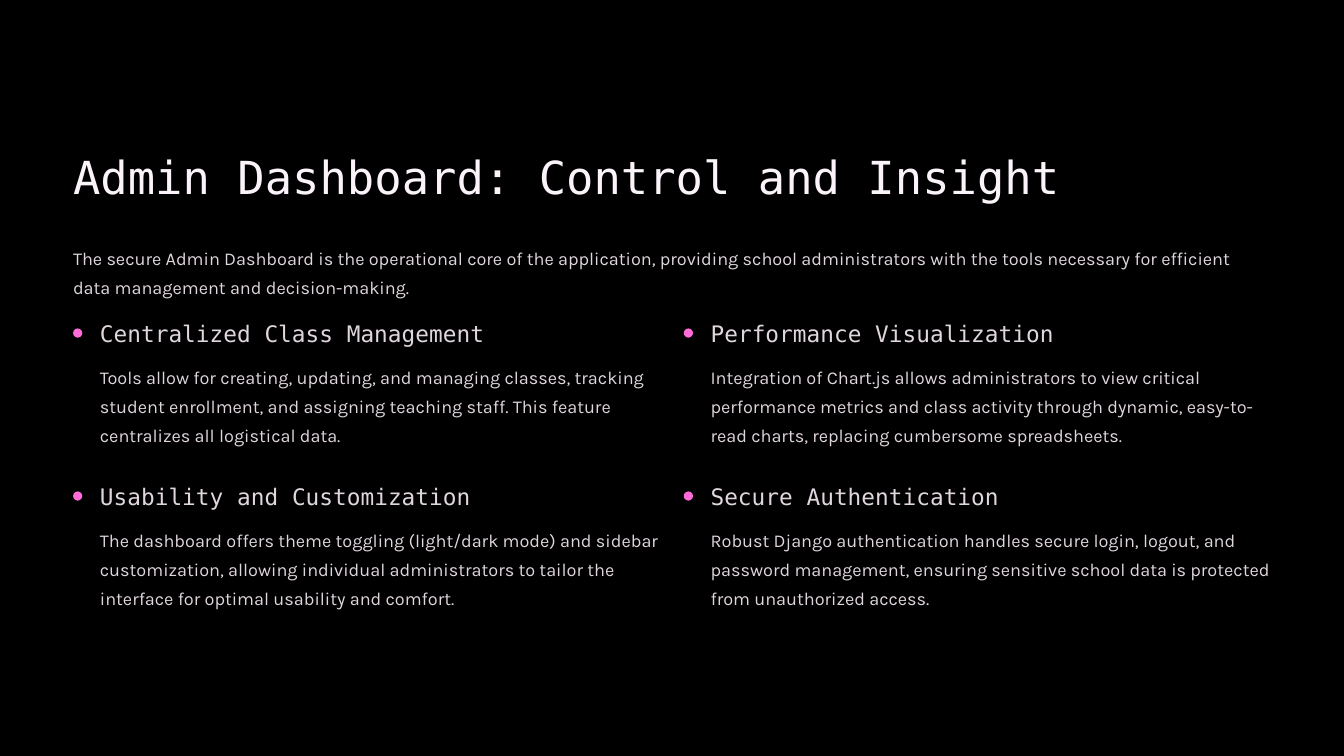
from pptx import Presentation
from pptx.dml.color import RGBColor
from pptx.enum.shapes import MSO_SHAPE
from pptx.enum.text import MSO_ANCHOR, PP_ALIGN
from pptx.util import Inches, Pt

BLACK = RGBColor(0x00, 0x00, 0x00)
WHITE = RGBColor(0xFB, 0xF3, 0xFA)
GREY = RGBColor(0xE0, 0xD6, 0xDE)
PINK = RGBColor(0xFF, 0x6B, 0xD8)

COLS, ROWS = 16, 9
LEFT = 0.87
INDENT = 0.32
STEP_X, STEP_Y = 7.27, 1.94
TOP = 3.8
CHAR = 0.17  # columns kept for one letter of a heading

TITLE = "Admin Dashboard: Control and Insight"
INTRO = (
    "The secure Admin Dashboard is the operational core of the application, "
    "providing school administrators with the tools necessary for efficient "
    "data management and decision-making."
)
POINTS = [
    ("Centralized Class Management",
     "Tools allow for creating, updating, and managing classes, tracking "
     "student enrollment, and assigning teaching staff. This feature "
     "centralizes all logistical data."),
    ("Performance Visualization",
     "Integration of Chart.js allows administrators to view critical "
     "performance metrics and class activity through dynamic, easy-to-read "
     "charts, replacing cumbersome spreadsheets."),
    ("Usability and Customization",
     "The dashboard offers theme toggling (light/dark mode) and sidebar "
     "customization, allowing individual administrators to tailor the "
     "interface for optimal usability and comfort."),
    ("Secure Authentication",
     "Robust Django authentication handles secure login, logout, and "
     "password management, ensuring sensitive school data is protected "
     "from unauthorized access."),
]


class Board:
    """One slide on a 16 by 9 grid, with its text styles."""

    mono, sans = "DejaVu Sans Mono", "Karla"
    styles = {
        "title": ({"name": mono, "size": Pt(39)}, WHITE, 48.5, False),
        "head": ({"name": mono, "size": Pt(19.5)}, GREY, 24, False),
        "body": ({"name": sans, "size": Pt(15.5)}, GREY, 25, True),
    }

    def __init__(self, deck):
        self.unit_x = deck.slide_width / COLS
        self.unit_y = deck.slide_height / ROWS
        self.slide = deck.slides.add_slide(deck.slide_layouts[6])
        fill = self.slide.background.fill
        fill.solid()
        fill.fore_color.rgb = BLACK

    def place(self, col, row, wide, high):
        """Turn grid columns and rows into slide lengths."""
        return (round(col * self.unit_x), round(row * self.unit_y),
                round(wide * self.unit_x), round(high * self.unit_y))

    def text(self, words, style, *area):
        face, color, lead, wrap = self.styles[style]
        frame = self.slide.shapes.add_textbox(*self.place(*area)).text_frame
        layout = {"margin_left": 0, "margin_right": 0, "margin_top": 0,
                  "margin_bottom": 0, "word_wrap": wrap,
                  "vertical_anchor": MSO_ANCHOR.TOP}
        for key, value in layout.items():
            setattr(frame, key, value)
        para = frame.paragraphs[0]
        para.alignment = PP_ALIGN.LEFT
        para.line_spacing = Pt(lead)
        run = para.add_run()
        run.text = words
        for key, value in face.items():
            setattr(run.font, key, value)
        run.font.color.rgb = color

    def dot(self, *area):
        shape = self.slide.shapes.add_shape(
            MSO_SHAPE.ROUNDED_RECTANGLE, *self.place(*area))
        shape.adjustments[0] = 0.5
        shape.shadow.inherit = False
        shape.fill.solid()
        shape.fill.fore_color.rgb = PINK
        shape.line.fill.background()

    def point(self, col, row, head, body):
        """Draw a dot, a heading and the text below it."""
        inner = col + INDENT
        self.dot(col, row + 0.11, 0.11, 0.11)
        self.text(head, "head", inner, row, len(head) * CHAR, 0.34)
        self.text(body, "body", inner, row + 0.47, 6.67, 1.04)


def main():
    deck = Presentation()
    deck.slide_width, deck.slide_height = Inches(COLS), Inches(ROWS)
    board = Board(deck)
    board.text(TITLE, "title", LEFT, 1.75, 11.9, 0.68)
    board.text(INTRO, "body", LEFT, 2.86, COLS - 2 * LEFT, 0.69)
    for index, (head, body) in enumerate(POINTS):
        row, col = divmod(index, 2)
        board.point(LEFT + col * STEP_X, TOP + row * STEP_Y, head, body)
    deck.save("out.pptx")


if __name__ == "__main__":
    main()
